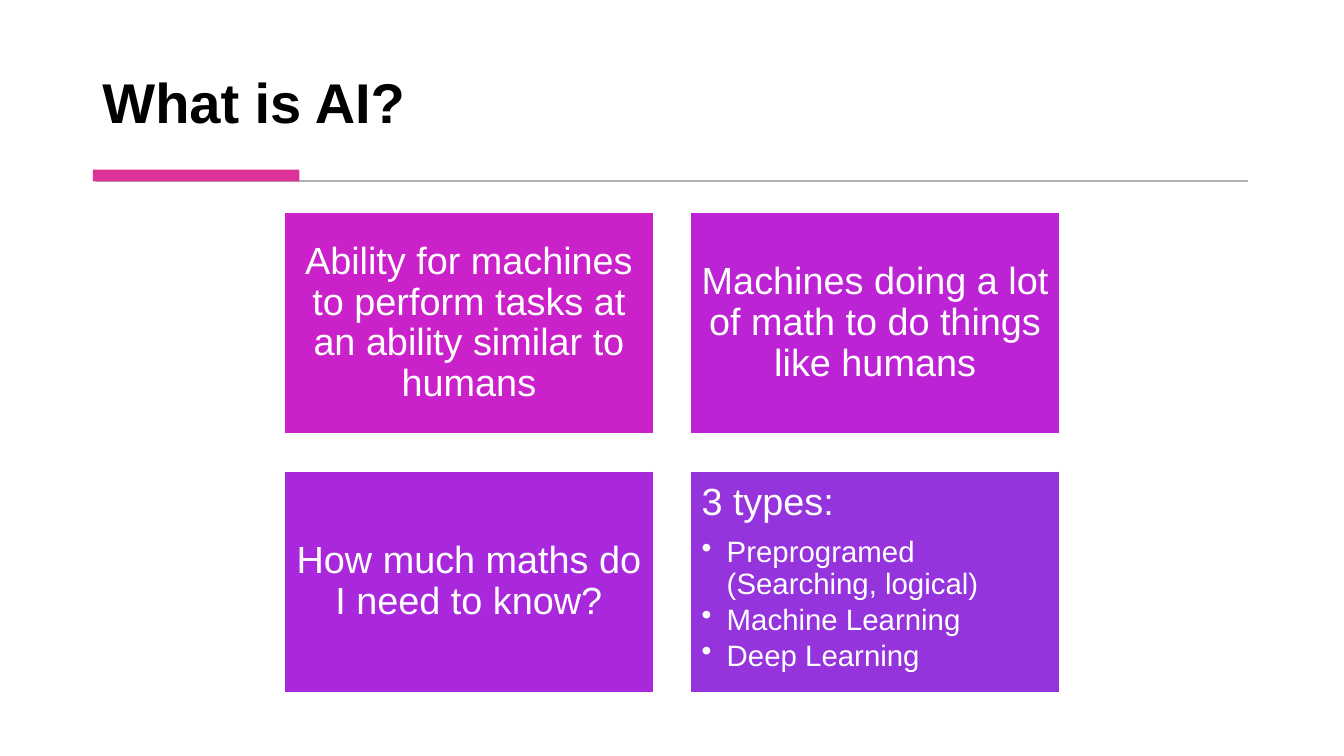
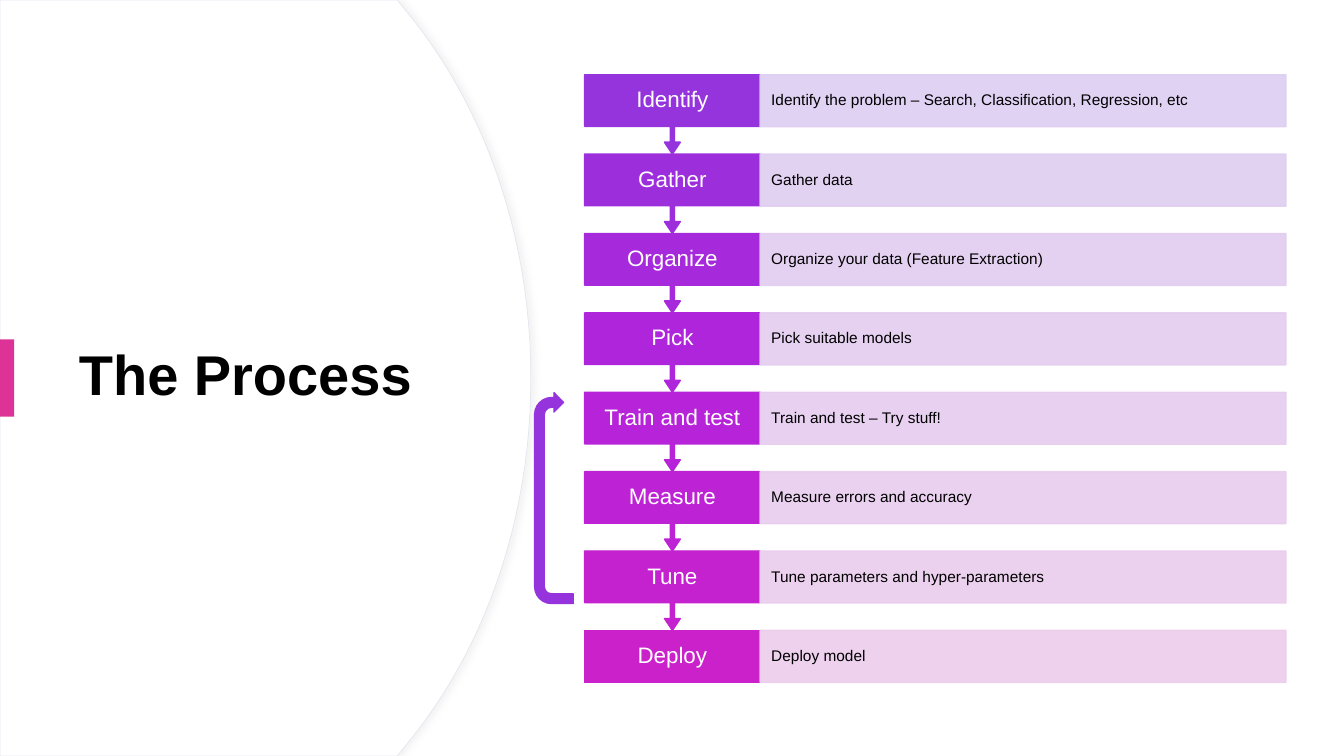
from pptx import Presentation
from pptx import util as u
from pptx.dml.color import RGBColor
from pptx.enum import shapes, text
from pptx.oxml import parse_xml
from pptx.oxml.ns import nsdecls, qn
from lxml import etree

COLORS = {
    "white": "FFFFFF", "ink": "000000", "accent": "DD3397", "rule": "B0B0B0",
    "edge": "E3E6EF", "shade": "D9D9D9", "violet": "9533DD",
    "purple": "A928DC", "orchid": "BB23D5", "magenta": "CA21CB",
    "step 1": "9533DD", "step 2": "9D2EDC", "step 3": "A62ADC", "step 4": "AF25DB",
    "step 5": "B723D8", "step 6": "BD23D4", "step 7": "C422CF", "step 8": "CA21CB",
    "pale 1": "DDCEF2", "pale 2": "DFCEF1", "pale 3": "E2CDF0", "pale 4": "E4CDF0",
    "pale 5": "E6CDEF", "pale 6": "E8CDEE", "pale 7": "EACDED", "pale 8": "ECCDEC",
}
FONT = "Arial"
COLUMNS, ROWS = 160, 90
CELL = u.Inches(1) // 12
PRESET = shapes.MSO_SHAPE
CENTER, LEFT = text.PP_ALIGN.CENTER, text.PP_ALIGN.LEFT
MIDDLE, TOP, BOTTOM = text.MSO_ANCHOR.MIDDLE, text.MSO_ANCHOR.TOP, text.MSO_ANCHOR.BOTTOM


def cells(*counts):
    """Turn grid counts into slide lengths."""
    return [u.Emu(round(count * CELL)) for count in counts]


def color(name):
    return RGBColor.from_string(COLORS[name])


class Deck:
    """The shared style and the slide being filled; places are in grid cells."""

    def __init__(self):
        self.show = Presentation()
        self.show.slide_width, self.show.slide_height = cells(COLUMNS, ROWS)
        self.page = None

    def new_page(self):
        self.page = self.show.slides.add_slide(self.show.slide_layouts[5])

    def title(self, words, place, anchor):
        box = self.page.shapes.title
        box.left, box.top, box.width, box.height = cells(*place)
        box.text_frame.auto_size = text.MSO_AUTO_SIZE.NONE
        box.text_frame.vertical_anchor = anchor
        self.add_words(box.text_frame.paragraphs[0], words, 40, "ink", bold=True)

    def add_words(self, para, words, size, ink, align=LEFT, bold=False):
        para.alignment = align
        para.line_spacing = 0.9
        span = para.add_run()
        span.text = words
        span.font.name, span.font.size, span.font.bold = FONT, u.Pt(size), bold
        span.font.color.rgb = color(ink)

    def paint(self, box, fill, line=None, width=1):
        box.shadow.inherit = False
        box.fill.solid()
        box.fill.fore_color.rgb = color(fill)
        if line:
            box.line.color.rgb = color(line)
            box.line.width = u.Pt(width)
        else:
            box.line.fill.background()
        return box

    def shape(self, place, fill, line=None, preset=PRESET.RECTANGLE):
        return self.paint(self.page.shapes.add_shape(preset, *cells(*place)), fill, line)

    def label(self, box, words, size, ink="white", align=CENTER, anchor=MIDDLE):
        frame = box.text_frame
        frame.word_wrap = True
        frame.vertical_anchor = anchor
        frame.margin_left = frame.margin_right = u.Inches(0.11)
        frame.margin_top = frame.margin_bottom = u.Inches(0.11)
        self.add_words(frame.paragraphs[0], words, size, ink, align)

    def bullets(self, box, items, size):
        """Add bulleted lines below the box's first line."""
        box.text_frame.paragraphs[0].space_after = u.Pt(10)
        for item in items:
            para = box.text_frame.add_paragraph()
            self.add_words(para, item, size, "white")
            para.space_after = u.Pt(3)
            props = para._p.get_or_add_pPr()
            props.set("marL", str(u.Inches(0.25)))
            props.set("indent", str(-u.Inches(0.25)))
            etree.SubElement(props, qn("a:buChar"), char="•")

    def fade(self, box, percent):
        """Make fill and line partly transparent."""
        for tone in list(box._element.spPr.iter(qn("a:srgbClr"))):
            etree.SubElement(tone, qn("a:alpha"), val=str(percent * 1000))

    def rule(self, left, right, row):
        line = self.page.shapes.add_connector(
            shapes.MSO_CONNECTOR.STRAIGHT, *cells(left, row, right, row))
        line.line.color.rgb = color("rule")
        line.line.width = u.Pt(1.5)
        etree.SubElement(line._element.spPr, qn("a:effectLst"))

    def round_panel(self):
        """White panel on the left whose right edge bulges outwards."""
        curve = [(48.1, 1), (57.5, 12.2), (63.2, 27.8), (63.2, 45)]
        upper = []
        for step in range(25):
            t = step / 24
            weights = ((1 - t) ** 3, 3 * t * (1 - t) ** 2, 3 * t * t * (1 - t), t ** 3)
            upper.append(tuple(sum(w * point[axis] for w, point in zip(weights, curve))
                               for axis in (0, 1)))
        half = [(0, 0), (47.3, 0)] + upper
        outline = half + [(x, ROWS - y) for x, y in reversed(half[:-1])]
        builder = self.page.shapes.build_freeform(0, 0)
        builder.add_line_segments([cells(*point) for point in outline[1:]], close=True)
        panel = self.paint(builder.convert_to_shape(), "white", "edge", 0.5)
        panel._element.spPr.find(qn("a:effectLst")).append(parse_xml(
            f'<a:outerShdw {nsdecls("a")} blurRad="{u.Pt(4)}" dist="{u.Pt(3)}" dir="0">'
            f'<a:srgbClr val="{COLORS["shade"]}"><a:alpha val="30000"/></a:srgbClr>'
            '</a:outerShdw>'))


def definition_page(deck):
    deck.new_page()
    deck.title("What is AI?", (11, 3.4, 137.9, 13.3), BOTTOM)
    deck.rule(11.4, 148.6, 21.54)
    deck.shape((11.05, 20.2, 24.6, 1.4), "accent")
    cards = [
        ("Ability for machines to perform tasks at an ability similar to humans", "magenta"),
        ("Machines doing a lot of math to do things like humans", "orchid"),
        ("How much maths do I need to know?", "purple"),
        ("3 types:", "violet"),
    ]
    for index, (words, fill) in enumerate(cards):
        row, column = divmod(index, 2)
        is_list = index == 3
        card = deck.shape((33.85 + 48.35 * column, 25.3 + 30.8 * row, 43.95, 26.35),
                          fill, "white")
        deck.label(card, words, 27, align=LEFT if is_list else CENTER,
                   anchor=TOP if is_list else MIDDLE)
        if is_list:
            deck.bullets(card, ["Preprogramed (Searching, logical)",
                                "Machine Learning", "Deep Learning"], 21)


def process_page(deck):
    deck.new_page()
    deck.round_panel()
    deck.title("The Process", (8.2, 15.2, 47.3, 59.4), MIDDLE)
    # The panel covers the title unless it lies behind it.
    tree = deck.page.shapes._spTree
    tree.append(deck.page.shapes.title._element)
    deck.shape((0, 40.4, 1.7, 9.2), "accent")
    steps = [
        ("Identify", "Identify the problem – Search, Classification, Regression, etc"),
        ("Gather", "Gather data"),
        ("Organize", "Organize your data (Feature Extraction)"),
        ("Pick", "Pick suitable models"),
        ("Train and test", "Train and test – Try stuff!"),
        ("Measure", "Measure errors and accuracy"),
        ("Tune", "Tune parameters and hyper-parameters"),
        ("Deploy", "Deploy model"),
    ]
    left, name_width, detail_width = 69.6, 20.9, 62.6
    first, pitch, height = 8.9, 9.45, 6.2
    # Last step first, so that each arrow tip lies over the step below.
    for number in range(len(steps), 0, -1):
        name, detail = steps[number - 1]
        top = first + pitch * (number - 1)
        tone, pale = f"step {number}", f"pale {number}"
        if number == len(steps):
            box = deck.shape((left, top, name_width, height), tone, tone)
        else:
            box = deck.shape((left, top, name_width, pitch), tone, tone,
                             PRESET.DOWN_ARROW_CALLOUT)
            for index, share in enumerate((0.05, 0.1, 0.15, 0.65)):
                box.adjustments[index] = share
        deck.label(box, name, 16)
        strip = deck.shape((left + name_width, top, detail_width, height), pale, pale)
        deck.fade(strip, 90)
        deck.label(strip, detail, 11, "ink", LEFT)
    loop = deck.shape((53.4, 57, 25.1, 4.6), "violet", "violet", PRESET.U_TURN_ARROW)
    loop.rotation = 270


def main():
    deck = Deck()
    definition_page(deck)
    process_page(deck)
    deck.show.save("out.pptx")


if __name__ == "__main__":
    main()
